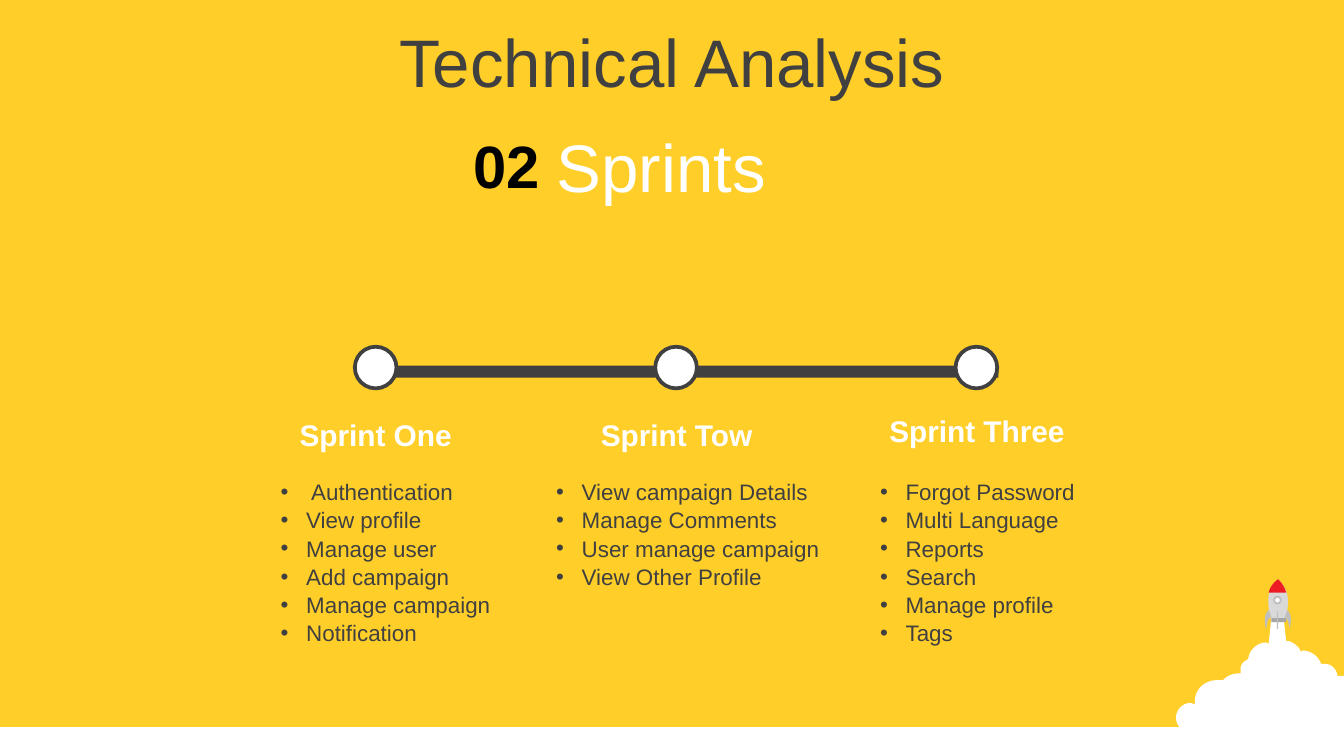
from lxml.etree import SubElement
from pptx import Presentation
from pptx.dml.color import RGBColor
from pptx.enum.shapes import MSO_SHAPE
from pptx.enum.text import MSO_ANCHOR, PP_ALIGN
from pptx.oxml.ns import qn
from pptx.util import Inches, Pt

YELLOW = RGBColor(0xFF, 0xCE, 0x29)
WHITE = RGBColor(0xFF, 0xFF, 0xFF)
BLACK = RGBColor(0, 0, 0)
DARK = RGBColor(0x40, 0x40, 0x40)
LIGHT_GRAY = RGBColor(0xD9, 0xD9, 0xD9)
FIN_GRAY = RGBColor(0xBF, 0xBF, 0xBF)
BAND_GRAY = RGBColor(0xA6, 0xA6, 0xA6)
RED = RGBColor(0xED, 0x1C, 0x24)
FONT = "Arial"
CURVE_STEPS = 8

SPRINTS = [
    ("Sprint One", (2.07, 3.05, 1.45), (1.99, 1.83),
     [" Authentication", "View profile", "Manage user", "Add campaign",
      "Manage campaign", "Notification"]),
    ("Sprint Tow", (4.31, 3.05, 1.45), (4.04, 2.2),
     ["View campaign Details", "Manage Comments", "User manage campaign",
      "View Other Profile"]),
    ("Sprint Three", (6.45, 3.02, 1.64), (6.45, 1.83),
     ["Forgot Password", "Multi Language", "Reports", "Search",
      "Manage profile", "Tags"]),
]

CLOUD = [
    (9.46, 4.59), (9.55, 4.59), (9.57, 4.77), (9.59, 4.77),
    (9.62, 4.78, 9.65, 4.8, 9.67, 4.83), (9.68, 4.85), (9.69, 4.84),
    (9.75, 4.84, 9.81, 4.88, 9.83, 4.94), (9.86, 4.94),
    (9.9, 4.94, 9.94, 4.97, 9.95, 5.02), (9.95, 5.03), (10, 5.03),
    (10, 5.6), (9.34, 5.61),
    (9.23, 5.61, 9.17, 5.56, 9.13, 5.51),
    (9.07, 5.55, 8.95, 5.53, 8.93, 5.43),
    (8.91, 5.45, 8.89, 5.45, 8.86, 5.45),
    (8.8, 5.45, 8.75, 5.4, 8.75, 5.34),
    (8.75, 5.28, 8.8, 5.23, 8.86, 5.23), (8.89, 5.24), (8.89, 5.22),
    (8.89, 5.13, 8.96, 5.06, 9.06, 5.06), (9.1, 5.06),
    (9.14, 5.02, 9.18, 5.01, 9.23, 5.01), (9.23, 4.98),
    (9.23, 4.95, 9.25, 4.92, 9.28, 4.91), (9.29, 4.89),
    (9.3, 4.83, 9.36, 4.78, 9.42, 4.78), (9.44, 4.79),
]
ROCKET_BODY = [
    (9.46, 4.62), (9.44, 4.53, 9.4, 4.4, 9.51, 4.31),
    (9.62, 4.41, 9.58, 4.54, 9.56, 4.62),
]
ROCKET_NOSE = [
    (9.51, 4.31), (9.54, 4.34, 9.56, 4.37, 9.57, 4.41), (9.44, 4.41),
    (9.45, 4.37, 9.47, 4.34, 9.51, 4.31),
]
LEFT_FIN = [
    (9.44, 4.54), (9.46, 4.59), (9.42, 4.61, 9.43, 4.66, 9.42, 4.68),
    (9.41, 4.65, 9.4, 4.57, 9.44, 4.54),
]
RIGHT_FIN = [
    (9.58, 4.54), (9.56, 4.59), (9.59, 4.61, 9.59, 4.66, 9.6, 4.68),
    (9.6, 4.65, 9.62, 4.57, 9.58, 4.54),
]


def paint(shape, fill, line=None, line_width=1):
    shape.shadow.inherit = False
    shape.fill.solid()
    shape.fill.fore_color.rgb = fill
    if line is None:
        shape.line.fill.background()
    else:
        shape.line.color.rgb = line
        shape.line.width = Pt(line_width)


def add_preset(slide, kind, box, fill, line=None, line_width=1):
    shape = slide.shapes.add_shape(kind, *map(Inches, box))
    paint(shape, fill, line, line_width)


def curve_points(start, curve):
    corners = [start, curve[:2], curve[2:4], curve[4:]]
    for step in range(1, CURVE_STEPS + 1):
        t = step / CURVE_STEPS
        weights = ((1 - t) ** 3, 3 * t * (1 - t) ** 2, 3 * t * t * (1 - t), t ** 3)
        yield tuple(sum(w * corner[axis] for w, corner in zip(weights, corners))
                    for axis in (0, 1))


def add_outline(slide, segments, fill):
    points = [segments[0]]
    for segment in segments[1:]:
        if len(segment) == 2:
            points.append(segment)
        else:
            points.extend(curve_points(points[-1], segment))
    vertices = [(Inches(x), Inches(y)) for x, y in points]
    builder = slide.shapes.build_freeform(*vertices[0])
    builder.add_line_segments(vertices[1:], close=True)
    paint(builder.convert_to_shape(), fill)


def add_run(paragraph, text, size, color, bold=False):
    run = paragraph.add_run()
    run.text = text
    run.font.name = FONT
    run.font.size = Pt(size)
    run.font.bold = bold
    run.font.color.rgb = color


def add_text_frame(slide, box):
    frame = slide.shapes.add_textbox(*map(Inches, box)).text_frame
    frame.word_wrap = True
    return frame


def add_heading(slide, box, text, size, color, bold=False, anchor=MSO_ANCHOR.TOP):
    frame = add_text_frame(slide, box)
    frame.vertical_anchor = anchor
    paragraph = frame.paragraphs[0]
    paragraph.alignment = PP_ALIGN.CENTER
    add_run(paragraph, text, size, color, bold)


def add_bullets(slide, box, items):
    frame = add_text_frame(slide, box)
    for index, item in enumerate(items):
        paragraph = frame.add_paragraph() if index else frame.paragraphs[0]
        paragraph.line_spacing = 1.05
        add_run(paragraph, item, 12, DARK)
        properties = paragraph._p.get_or_add_pPr()
        properties.set("marL", str(Inches(0.19)))
        properties.set("indent", str(-Inches(0.19)))
        SubElement(properties, qn("a:buFont")).set("typeface", FONT)
        SubElement(properties, qn("a:buChar")).set("char", "•")


def add_rocket(slide):
    add_outline(slide, CLOUD, WHITE)
    add_outline(slide, ROCKET_BODY, LIGHT_GRAY)
    add_preset(slide, MSO_SHAPE.RECTANGLE, (9.46, 4.6, 0.11, 0.03), BAND_GRAY)
    add_outline(slide, ROCKET_NOSE, RED)
    add_preset(slide, MSO_SHAPE.OVAL, (9.48, 4.44, 0.05, 0.05), WHITE, FIN_GRAY)
    add_preset(slide, MSO_SHAPE.RECTANGLE, (9.5, 4.55, 0.01, 0.13), FIN_GRAY)
    add_outline(slide, LEFT_FIN, FIN_GRAY)
    add_outline(slide, RIGHT_FIN, FIN_GRAY)


def add_timeline(slide):
    add_preset(slide, MSO_SHAPE.RECTANGLE, (2.8, 2.72, 4.63, 0.09), DARK)
    for index, (name, (left, top, width), (list_left, list_width), items) in enumerate(SPRINTS):
        marker = (2.64 + index * 2.235, 2.58, 0.31, 0.31)
        add_preset(slide, MSO_SHAPE.OVAL, marker, WHITE, DARK, 2)
        list_height = 0.1 + 0.235 * len(items)
        add_bullets(slide, (list_left, 3.5, list_width, list_height), items)
        add_heading(slide, (left, top, width, 0.37), name, 16, WHITE, True)


def main():
    presentation = Presentation()
    presentation.slide_width = Inches(10)
    presentation.slide_height = Inches(5.625)
    slide = presentation.slides.add_slide(presentation.slide_layouts[6])
    slide.background.fill.solid()
    slide.background.fill.fore_color.rgb = YELLOW
    add_preset(slide, MSO_SHAPE.RECTANGLE, (0, 5.41, 10, 0.24), WHITE)
    add_rocket(slide)
    add_heading(slide, (0, 0.14, 10, 0.63), "Technical Analysis", 36, DARK,
                anchor=MSO_ANCHOR.MIDDLE)
    add_timeline(slide)
    add_heading(slide, (-0.01, 0.92, 10, 0.63), "Sprints ", 36, WHITE,
                anchor=MSO_ANCHOR.MIDDLE)
    add_heading(slide, (3.35, 0.91, 0.84, 0.64), "02", 32, BLACK, True)
    presentation.save("out.pptx")


if __name__ == "__main__":
    main()
